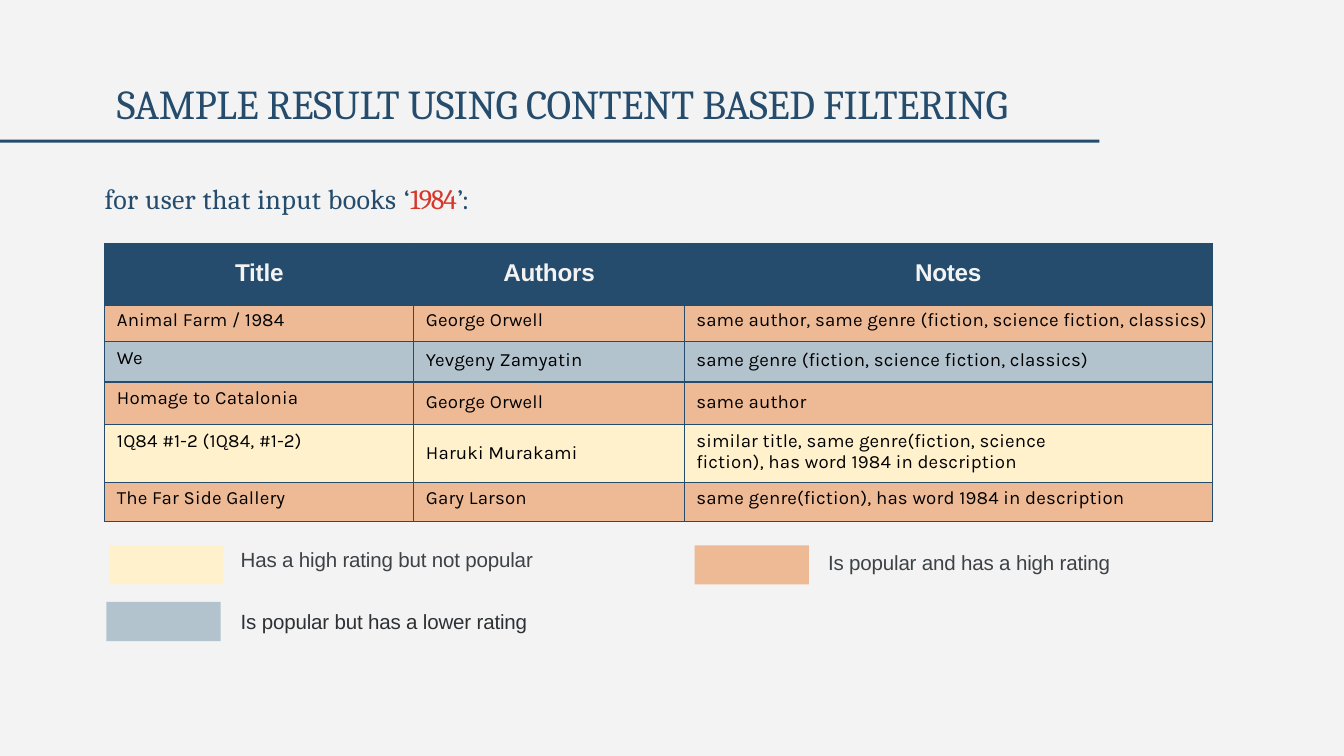
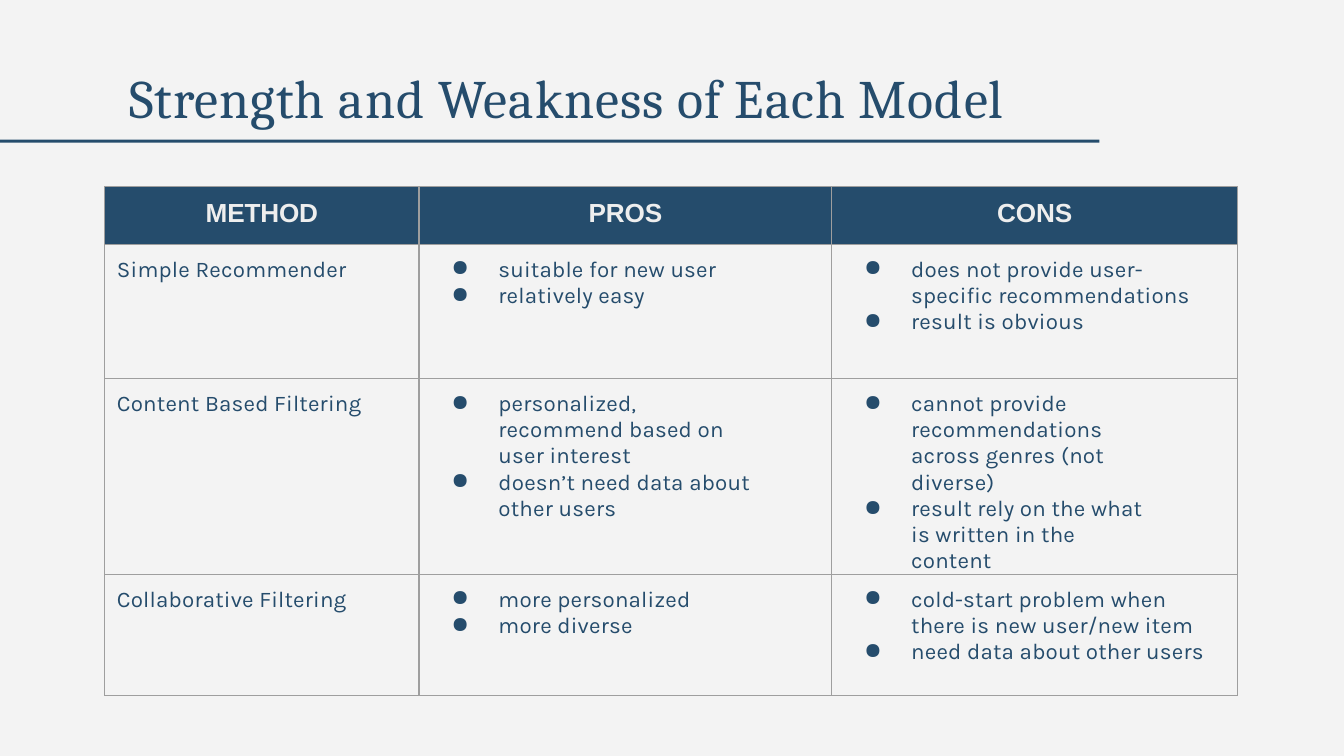
from lxml import etree
from pptx import Presentation
from pptx import util as u
from pptx.dml.color import RGBColor
from pptx.enum import shapes, text
from pptx.oxml import ns

# Palette
NAVY, PAPER, GREY = "254C6C", "F3F3F3", "9E9E9E"
PEACH, STEEL, CREAM, RED = "EEBA95", "B3C3CE", "FFF1CC", "D83729"

# Text formats: font attributes, plus colour and letter spacing in points
TITLE = dict(name="Cambria", size=u.Pt(22), color=NAVY, spc=-0.2)
BIG_TITLE = TITLE | dict(size=u.Pt(29), spc=0.5)
SUBTITLE = TITLE | dict(size=u.Pt(15), spc=0.2)
LABEL = dict(name="Arial", size=u.Pt(11), color="3D4246", spc=-0.1)
HEAD = dict(name="Arial", size=u.Pt(13), bold=True, color=PAPER, spc=-0.1)
BODY = dict(name="Karla", size=u.Pt(10), bold=False, color="000000", spc=0.1)


def rgb(value):
    return RGBColor.from_string(value)


class Deck:
    def __init__(self):
        self.prs = Presentation()
        self.prs.slide_width, self.prs.slide_height = u.Cm(25.4), u.Cm(14.29)
        fill = self.prs.slide_master.background.fill
        fill.solid()
        fill.fore_color.rgb = rgb(PAPER)
        self.s = None

    def slide(self, title, box, fmt):
        self.s = self.prs.slides.add_slide(self.prs.slide_layouts[5])
        sp = self.s.shapes.title
        sp.left, sp.top, sp.width, sp.height = map(u.Cm, box)
        self.fill_frame(sp.text_frame, [(title, {})], fmt)
        self.rect((0, 2.64, 20.78, 0.06), NAVY)

    def add_runs(self, p, runs, fmt):
        p.alignment = text.PP_ALIGN.LEFT
        for words, extra in runs:
            r = p.add_run()
            r.text = words
            values = fmt | extra
            r.font.color.rgb = rgb(values.pop("color"))
            r._r.get_or_add_rPr().set("spc", str(round(values.pop("spc") * 100)))
            for key, value in values.items():
                setattr(r.font, key, value)

    def fill_frame(self, tf, runs, fmt):
        settings = dict(word_wrap=True, auto_size=text.MSO_AUTO_SIZE.NONE,
                        vertical_anchor=text.MSO_ANCHOR.TOP, margin_left=0,
                        margin_right=0, margin_top=u.Cm(0.03), margin_bottom=0)
        for key, value in settings.items():
            setattr(tf, key, value)
        self.add_runs(tf.paragraphs[0], runs, fmt)

    def text(self, box, runs, fmt):
        sp = self.s.shapes.add_textbox(*map(u.Cm, box))
        self.fill_frame(sp.text_frame, runs, fmt)

    def rect(self, box, color):
        sp = self.s.shapes.add_shape(shapes.MSO_SHAPE.RECTANGLE, *map(u.Cm, box))
        sp.shadow.inherit = False
        sp.fill.solid()
        sp.fill.fore_color.rgb = rgb(color)
        sp.line.fill.background()

    def table(self, left, top, cols, rows, border):
        """Each row is (height, fill, format, cells)."""
        heights = [row[0] for row in rows]
        box = (left, top, sum(cols), sum(heights))
        table = self.s.shapes.add_table(len(rows), len(cols), *map(u.Cm, box)).table
        table.horz_banding = False
        for column, width in zip(table.columns, cols):
            column.width = u.Cm(width)
        for i, (height, fill, fmt, contents) in enumerate(rows):
            table.rows[i].height = u.Cm(height)
            for j, content in enumerate(contents):
                self.cell(table.cell(i, j), fill, border, fmt, i == 0, **content)

    def cell(self, cell, fill, border, fmt, header, lines, pad, right=0):
        """One line is plain text; a list of lines is bulleted."""
        margins = dict(margin_left=0, margin_right=0,
                       margin_top=u.Cm(pad), margin_bottom=0)
        for key, value in margins.items():
            setattr(cell, key, value)
        self.borders(cell, border)
        cell.fill.solid()
        cell.fill.fore_color.rgb = rgb(fill)
        bulleted = isinstance(lines, list)
        tf = cell.text_frame
        for i, line in enumerate(lines if bulleted else [lines]):
            p = tf.add_paragraph() if i else tf.paragraphs[0]
            self.add_runs(p, [(line, {})], fmt)
            if header:
                p.alignment = text.PP_ALIGN.CENTER
                continue
            left, indent = (1.5, -0.89) if bulleted else (0.23, 0)
            pPr = p._p.get_or_add_pPr()
            for key, value in dict(marL=left, marR=right, indent=indent).items():
                pPr.set(key, str(int(u.Cm(value))))
            if bulleted:
                etree.SubElement(pPr, ns.qn("a:buChar")).set("char", "●")

    def borders(self, cell, color):
        tcPr = cell._tc.get_or_add_tcPr()
        for side in "LRTB":
            ln = etree.SubElement(tcPr, ns.qn("a:ln" + side), w=str(int(u.Pt(0.75))))
            solid = etree.SubElement(ln, ns.qn("a:solidFill"))
            etree.SubElement(solid, ns.qn("a:srgbClr"), val=color)


def cells(lines, pads, rights=(0, 0, 0)):
    return [dict(lines=line, pad=pad, right=right)
            for line, pad, right in zip(lines, pads, rights)]


def sample_result(deck):
    deck.slide("SAMPLE RESULT USING CONTENT BASED FILTERING",
               (2.21, 1.45, 17.75, 0.99), TITLE)

    # Recommended books: height, fill, top padding of title and of the rest, cells
    books = [
        (0.69, PEACH, 0.08, 0.08, ("Animal Farm / 1984", "George Orwell",
         "same author, same genre (ﬁction, science ﬁction, classics)")),
        (0.76, STEEL, 0.1, 0.15, ("We", "Yevgeny Zamyatin",
         "same genre (ﬁction, science ﬁction, classics)")),
        (0.81, PEACH, 0.1, 0.18, ("Homage to Catalonia", "George Orwell",
         "same author")),
        (1.09, CREAM, 0.1, 0.33, ("1Ǫ84 #1-2 (1Ǫ84, #1-2)", "Haruki Murakami",
         "similar title, same genre(ﬁction, science ﬁction), "
         "has word 1984 in description")),
        (0.74, PEACH, 0.1, 0.1, ("The Far Side Gallery", "Gary Larson",
         "same genre(ﬁction), has word 1984 in description")),
    ]
    rows = [(1.17, NAVY, HEAD, cells(("Title", "Authors", "Notes"), [0.3] * 3))]
    for height, fill, first, rest, words in books:
        two_lines = fill == CREAM
        pads = (first, rest, 0.1 if two_lines else rest)
        rights = (0, 0, 2.3 if two_lines else 0)
        rows.append((height, fill, BODY, cells(words, pads, rights)))
    deck.table(1.98, 4.6, (5.84, 5.11, 9.98), rows, NAVY)

    # Legend: swatch corner, label corner, fill, label colour
    legend = [
        ((2.06, 10.31), (4.55, 10.31), CREAM, "3D4246",
         "Has a high rating but not popular"),
        ((2.01, 11.38), (4.55, 11.48), STEEL, "2D3134",
         "Is popular but has a lower rating"),
        ((13.13, 10.31), (15.65, 10.36), PEACH, "3D4246",
         "Is popular and has a high rating"),
    ]
    for swatch, label, fill, color, words in legend:
        deck.rect((*swatch, 2.16, 0.74), fill)
        deck.text((*label, 5.7, 0.53), [(words, {})], LABEL | dict(color=color))

    # Query
    tight = dict(spc=-0.7)
    deck.text((1.98, 3.4, 7.42, 0.71),
              [("for user that input books ", {}), ("‘", tight),
               ("1984", tight | dict(color=RED)), ("’:", tight)], SUBTITLE)


def strengths(deck):
    deck.slide("Strength and Weakness of Each Model",
               (2.44, 1.19, 17.12, 1.3), BIG_TITLE)

    # Methods: height, right indents, cells
    head = HEAD | dict(size=u.Pt(14), color="EEEEEE")
    body = BODY | dict(size=u.Pt(12), color=NAVY)
    methods = [
        (2.54, (0, 0, 0.76), ("Simple Recommender",
         ["suitable for new user", "relatively easy"],
         ["does not provide user-speciﬁc recommendations", "result is obvious"])),
        (3.56, (0, 1.47, 1.55), ("Content Based Filtering",
         ["personalized, recommend based on user interest",
          "doesn’t need data about other users"],
         ["cannot provide recommendations across genres (not diverse)",
          "result rely on the what is written in the content"])),
        (2.29, (0, 0, 0.5), ("Collaborative Filtering",
         ["more personalized", "more diverse"],
         ["cold-start problem when there is new user/new item",
          "need data about other users"])),
    ]
    pads = [0.23] * 3
    rows = [(1.09, NAVY, head, cells(("METHOD", "PROS", "CONS"), pads))]
    rows += [(height, PAPER, body, cells(words, pads, rights))
             for height, rights, words in methods]
    deck.table(1.98, 3.53, (5.94, 7.8, 7.67), rows, GREY)


def main():
    deck = Deck()
    sample_result(deck)
    strengths(deck)
    deck.prs.save("out.pptx")


if __name__ == "__main__":
    main()
